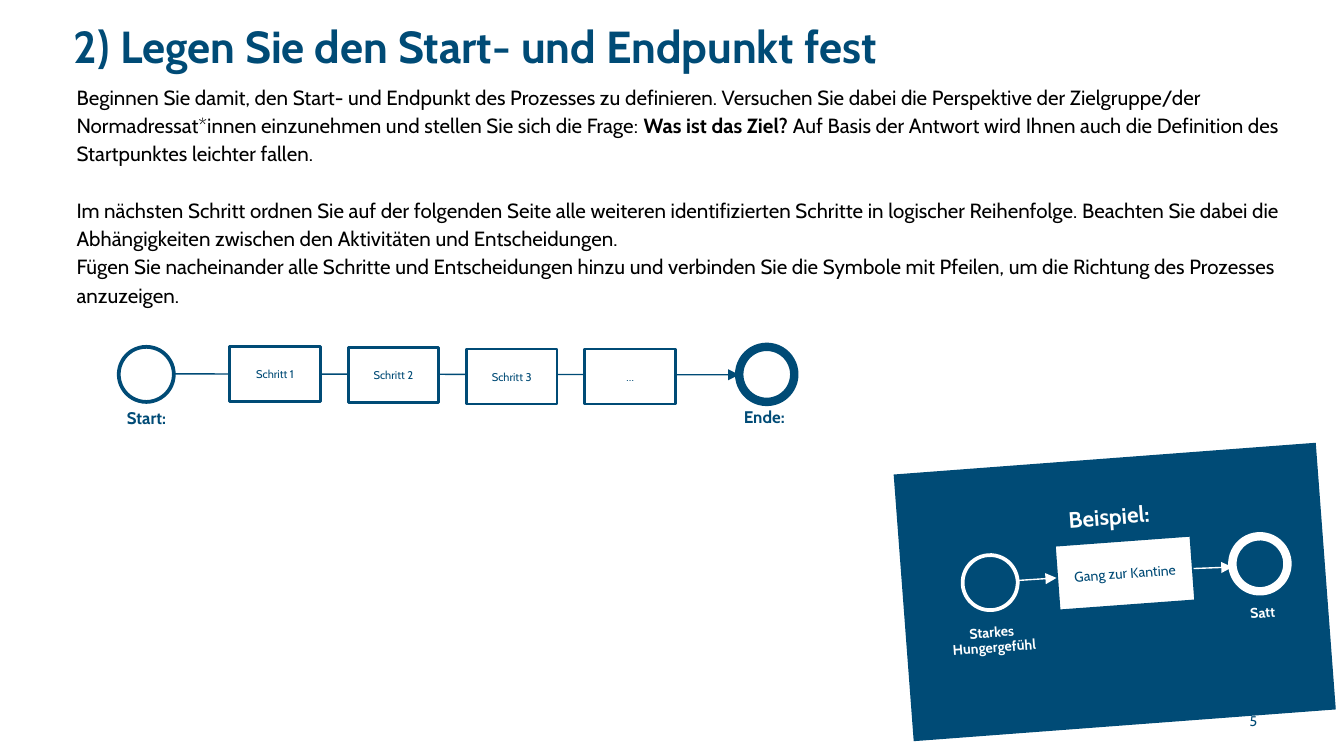
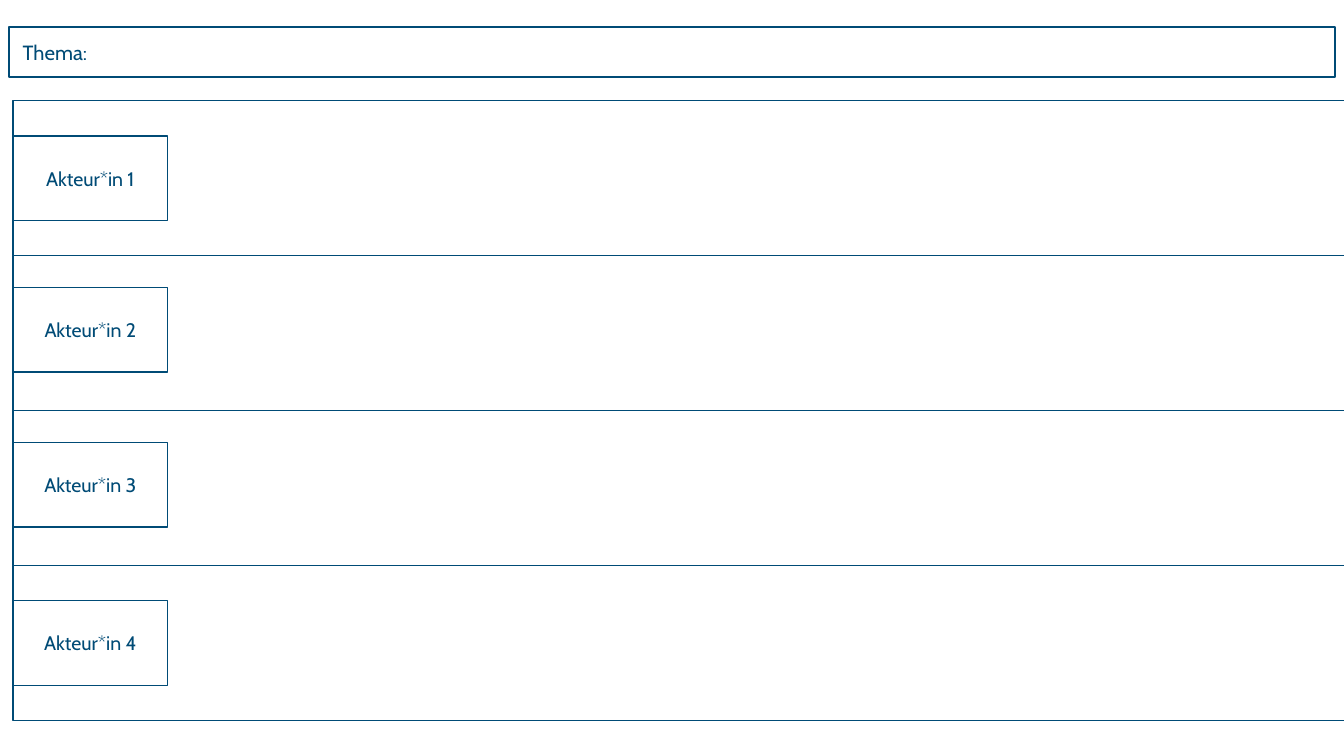
import dataclasses
import typing

import lxml.etree
import pptx
import pptx.dml.color
import pptx.enum.shapes
import pptx.enum.text
import pptx.oxml.ns
import pptx.util

Pt = pptx.util.Pt
SHAPE = pptx.enum.shapes.MSO_SHAPE
ALIGN = pptx.enum.text.PP_ALIGN
ANCHOR = pptx.enum.text.MSO_ANCHOR

FONT = "Cabin"
BLUE = "004B76"
WHITE = "FFFFFF"
BLACK = "000000"
TILT = -4.2
CIRCLE = 29.5


def rgb(value: str) -> pptx.dml.color.RGBColor:
    return pptx.dml.color.RGBColor.from_string(value)


@dataclasses.dataclass
class Box:
    left: float
    top: float
    width: float
    height: float
    text: str = ""
    size: float = 9
    color: str = BLUE
    bold: bool = False
    kind: typing.Any = SHAPE.RECTANGLE
    fill: typing.Optional[str] = None
    line: typing.Optional[str] = None
    weight: float = 0.75
    rotation: float = 0
    align: typing.Any = ALIGN.CENTER
    anchor: typing.Any = ANCHOR.MIDDLE
    spacing: float = 1.0
    inset: tuple[float, float] = (5, 3)


@dataclasses.dataclass
class Arrow:
    x1: float
    y1: float
    x2: float
    y2: float
    color: str


def add_run(p, text: str, size: float, color: str, bold: bool = False) -> None:
    r = p.add_run()
    r.text = text
    r.font.name = FONT
    r.font.size = Pt(size)
    r.font.bold = bold
    r.font.color.rgb = rgb(color)


def set_frame(tf, anchor, inset: tuple[float, float]) -> None:
    tf.word_wrap = True
    tf.auto_size = pptx.enum.text.MSO_AUTO_SIZE.NONE
    tf.vertical_anchor = anchor
    tf.margin_left = tf.margin_right = Pt(inset[0])
    tf.margin_top = tf.margin_bottom = Pt(inset[1])


def place(sp, left: float, top: float, width: float, height: float) -> None:
    sp.left, sp.top, sp.width, sp.height = Pt(left), Pt(top), Pt(width), Pt(height)


def draw_box(shapes, box: Box):
    bounds = Pt(box.left), Pt(box.top), Pt(box.width), Pt(box.height)
    if box.kind is None:
        sp = shapes.add_textbox(*bounds)
    else:
        sp = shapes.add_shape(box.kind, *bounds)
        sp.shadow.inherit = False
        if box.fill:
            sp.fill.solid()
            sp.fill.fore_color.rgb = rgb(box.fill)
        else:
            sp.fill.background()
        if box.line:
            sp.line.color.rgb = rgb(box.line)
            sp.line.width = Pt(box.weight)
        else:
            sp.line.fill.background()
    sp.rotation = box.rotation
    if box.text:
        tf = sp.text_frame
        set_frame(tf, box.anchor, box.inset)
        for i, text in enumerate(box.text.split("\n")):
            p = tf.add_paragraph() if i else tf.paragraphs[0]
            p.alignment = box.align
            p.line_spacing = box.spacing
            add_run(p, text, box.size, box.color, box.bold)
    return sp


def draw_arrow(shapes, arrow: Arrow, source=None, target=None) -> None:
    ends = Pt(arrow.x1), Pt(arrow.y1), Pt(arrow.x2), Pt(arrow.y2)
    c = shapes.add_connector(pptx.enum.shapes.MSO_CONNECTOR.STRAIGHT, *ends)
    if source is not None:
        c.begin_connect(source, 3)
    if target is not None:
        c.end_connect(target, 1)
    c.begin_x, c.begin_y, c.end_x, c.end_y = ends
    c.line.color.rgb = rgb(arrow.color)
    c.line.width = Pt(0.75)
    qn = pptx.oxml.ns.qn
    sp_pr = c.element.spPr
    lxml.etree.SubElement(sp_pr.find(qn("a:ln")), qn("a:tailEnd"), type="triangle")
    lxml.etree.SubElement(sp_pr, qn("a:effectLst"))


def circle(left: float, top: float, weight: float, color: str = BLUE,
           fill: typing.Optional[str] = None, rotation: float = 0) -> Box:
    return Box(left, top, CIRCLE, CIRCLE, kind=SHAPE.OVAL, line=color,
               weight=weight, fill=fill, rotation=rotation)


def label(left: float, top: float, width: float, height: float, text: str,
          size: float = 9, color: str = BLUE, rotation: float = 0,
          anchor=ANCHOR.TOP) -> Box:
    return Box(left, top, width, height, text, size, color, True, None,
               rotation=rotation, anchor=anchor, spacing=0.9)


def fill_title(sp, text: str) -> None:
    place(sp, 39.6, 10.1, 641, 62.6)
    set_frame(sp.text_frame, ANCHOR.TOP, (0, 0))
    p = sp.text_frame.paragraphs[0]
    p.alignment = ALIGN.LEFT
    add_run(p, text, 24, BLUE, True)


def fill_body(sp) -> None:
    paragraphs = [
        (0, [("Beginnen Sie damit, den Start- und Endpunkt des Prozesses zu definieren. "
              "Versuchen Sie dabei die Perspektive der Zielgruppe/der Normadressat*innen "
              "einzunehmen und stellen Sie sich die Frage: ", False),
             ("Was ist das Ziel? ", True),
             ("Auf Basis der Antwort wird Ihnen auch die Definition des Startpunktes "
              "leichter fallen.", False)]),
        (15.2, [("Im nächsten Schritt ordnen Sie auf der folgenden Seite alle weiteren "
                 "identifizierten Schritte in logischer Reihenfolge. Beachten Sie dabei die "
                 "Abhängigkeiten zwischen den Aktivitäten und Entscheidungen.", False)]),
        (0, [("Fügen Sie nacheinander alle Schritte und Entscheidungen hinzu und verbinden "
              "Sie die Symbole mit Pfeilen, um die Richtung des Prozesses anzuzeigen.", False)]),
    ]
    place(sp, 36, 40.3, 663, 67.7)
    tf = sp.text_frame
    set_frame(tf, ANCHOR.TOP, (5, 3))
    for i, (gap, runs) in enumerate(paragraphs):
        p = tf.add_paragraph() if i else tf.paragraphs[0]
        p.line_spacing = 1.15
        p.space_before = Pt(gap)
        p.space_after = Pt(0)
        p_pr = p._p.get_or_add_pPr()
        p_pr.set("marL", "0")
        p_pr.set("indent", "0")
        lxml.etree.SubElement(p_pr, pptx.oxml.ns.qn("a:buNone"))
        for text, bold in runs:
            add_run(p, text, 11, BLACK, bold)


def draw_process(shapes) -> None:
    draw_box(shapes, circle(63.6, 185.8, 2))
    draw_box(shapes, circle(396, 185.8, 4.5))
    draw_box(shapes, label(33.8, 216.7, 89.3, 61.2, "Start:"))
    draw_box(shapes, label(365.8, 216, 89.3, 67.7, "Ende: "))
    draw_arrow(shapes, Arrow(93.6, 200.3, 396, 200.8, BLUE))
    steps = [("Schritt 1", 185.6), ("Schritt 2", 186), ("Schritt 3", 187), ("…", 187)]
    for i, (text, top) in enumerate(steps):
        draw_box(shapes, Box(123.1 + 63.4 * i, top, 48.5, 29.5, text, 6,
                             fill=WHITE, line=BLUE, weight=1.5))


def draw_example(shapes) -> None:
    draw_box(shapes, Box(483.8, 245.5, 226.8, 143.3, "Beispiel:", 12, WHITE, True,
                         fill=BLUE, rotation=-4.3, anchor=ANCHOR.TOP, inset=(5, 23.7)))
    draw_box(shapes, circle(515.7, 297.4, 2, WHITE, BLUE, TILT))
    draw_box(shapes, label(493.2, 330.5, 78.5, 25.2, "Starkes \nHungergefühl", 7.5,
                           WHITE, TILT, ANCHOR.MIDDLE))
    walk = draw_box(shapes, Box(566, 289.4, 73.4, 35.3, "Gang zur Kantine", 7.5,
                                fill=WHITE, line=BLUE, weight=1.5, rotation=TILT))
    draw_box(shapes, circle(660.2, 287.3, 4.5, WHITE, BLUE, TILT))
    draw_box(shapes, label(650.2, 320.4, 52.6, 16.6, "Satt", 7.5,
                           WHITE, TILT, ANCHOR.MIDDLE))
    draw_arrow(shapes, Arrow(639.4, 304.6, 660.2, 303.8, WHITE), source=walk)
    draw_arrow(shapes, Arrow(545, 311, 566, 309.6, WHITE), target=walk)


def build_endpoints(prs) -> None:
    s = prs.slides.add_slide(prs.slide_layouts[1])
    fill_title(s.shapes.title, "2) Legen Sie den Start- und Endpunkt fest")
    fill_body(s.placeholders[1])
    draw_process(s.shapes)
    draw_example(s.shapes.add_group_shape().shapes)
    draw_box(s.shapes, Box(662.4, 381.6, 33.8, 9.4, "5", 7.5, kind=None,
                           align=ALIGN.LEFT, inset=(7.2, 3.6)))


def build_lanes(prs) -> None:
    s = prs.slides.add_slide(prs.slide_layouts[6])
    lanes = s.shapes.add_group_shape().shapes
    actor_tops = (72.8, 154, 237, 321.8)
    for i in range(len(actor_tops)):
        draw_box(lanes, Box(7, 54 + 83 * i, 717.3, 83, line=BLUE))
    draw_box(s.shapes, Box(5, 14.3, 710, 26.9, "Thema:", 11, line=BLUE, weight=1,
                           align=ALIGN.LEFT, inset=(7.2, 3.6)))
    for i, top in enumerate(actor_tops, 1):
        draw_box(s.shapes, Box(7, top, 82.8, 45.4, f"Akteur*in {i}", 10.5,
                               fill=WHITE, line=BLUE))


def main() -> None:
    prs = pptx.Presentation()
    prs.slide_width, prs.slide_height = Pt(720), Pt(405)
    build_endpoints(prs)
    build_lanes(prs)
    prs.save("out.pptx")


if __name__ == "__main__":
    main()
